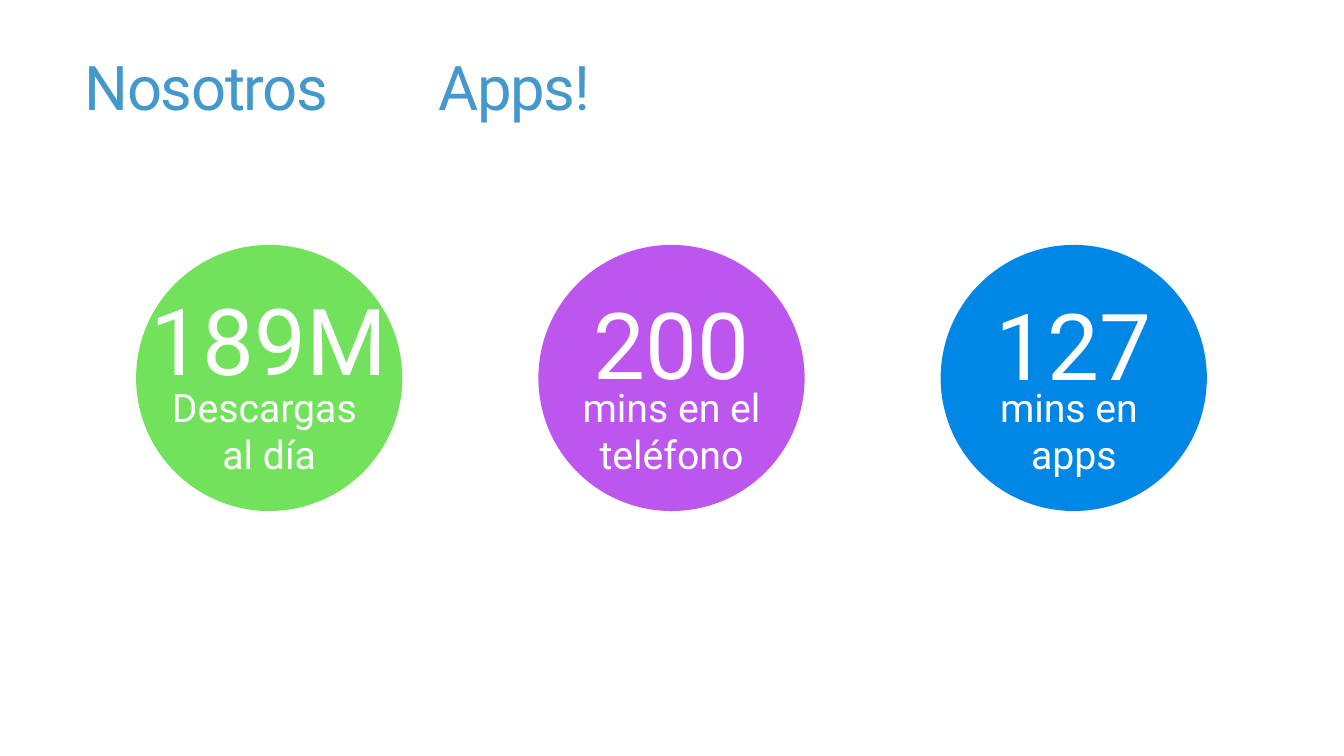
from lxml import etree
from pptx import Presentation, util as u
from pptx.dml.color import RGBColor
from pptx.enum import shapes, text
from pptx.oxml.ns import qn

TITLE_BLUE = RGBColor(0x45, 0x98, 0xCB)
GREEN = RGBColor(0x72, 0xE1, 0x5B)
PURPLE = RGBColor(0xBD, 0x56, 0xEE)
BLUE = RGBColor(0x00, 0x87, 0xE5)
WHITE = RGBColor(0xFF, 0xFF, 0xFF)
FONT = "Roboto"

# Grid of circles, in inches
FIRST_LEFT, CIRCLE_TOP, DIAMETER, PITCH = 1.35, 2.43, 2.64, 3.99

# Colour, figure, caption lines, drop of the figure below the circle's top
STATS = [
    (GREEN, "189M", ["Descargas ", "al día"], 0.32),
    (PURPLE, "200", ["mins en el teléfono"], 0.36),
    (BLUE, "127", ["mins en ", "apps"], 0.37),
]


def add_words(slide, box, lines, size, color, align, anchor, insets):
    """Place lines of text in a box (left, top, width, height)."""
    frame = slide.shapes.add_textbox(*map(u.Inches, box)).text_frame
    side, edge = map(u.Inches, insets)
    layout = {"word_wrap": True, "vertical_anchor": anchor,
              "margin_left": side, "margin_right": side,
              "margin_top": edge, "margin_bottom": edge}
    for key, value in layout.items():
        setattr(frame, key, value)
    frame.text = "\n".join(lines)
    for paragraph in frame.paragraphs:
        paragraph.alignment = align
        for run in paragraph.runs:
            for key, value in {"name": FONT, "size": u.Pt(size)}.items():
                setattr(run.font, key, value)
            run.font.color.rgb = color
    return frame


def add_title(slide, box):
    """Heading whose second word starts at a tab stop."""
    frame = add_words(slide, box, ["Nosotros\tApps!"], 44, TITLE_BLUE,
                      text.PP_ALIGN.LEFT, text.MSO_ANCHOR.BOTTOM, (0.16, 0.1))
    heading = frame.paragraphs[0]
    heading.line_spacing = 0.9
    tabs = etree.SubElement(heading._p.get_or_add_pPr(), qn("a:tabLst"))
    etree.SubElement(tabs, qn("a:tab"), pos=str(u.Inches(3.51)), algn="l")
    for run in heading.runs:
        run.font._element.set("spc", "-100")


def add_stat(slide, box, color, figure, caption, drop):
    """Coloured circle with a large figure over its caption."""
    left, top, width, height = box
    circle = slide.shapes.add_shape(shapes.MSO_SHAPE.OVAL, *map(u.Inches, box))
    circle.shadow.inherit = False
    circle.fill.solid()
    circle.fill.fore_color.rgb = color
    circle.line.fill.background()
    centred = (WHITE, text.PP_ALIGN.CENTER, text.MSO_ANCHOR.MIDDLE, (0.06, 0.06))
    add_words(slide, (left, top + drop, width, 0.46 * height), [figure], 66, *centred)
    add_words(slide, (left, top + 1.31, width, 0.4 * height), caption, 28, *centred)


def main():
    deck = Presentation()
    deck.slide_width, deck.slide_height = u.Inches(13.33), u.Inches(7.5)
    slide = deck.slides.add_slide(deck.slide_layouts[6])

    # Heading
    add_title(slide, (0.68, 0.25, 11.5, 1.08))

    # Three statistics in a row
    for column, stat in enumerate(STATS):
        left = FIRST_LEFT + column * PITCH
        add_stat(slide, (left, CIRCLE_TOP, DIAMETER, DIAMETER), *stat)

    deck.save("out.pptx")


if __name__ == "__main__":
    main()
